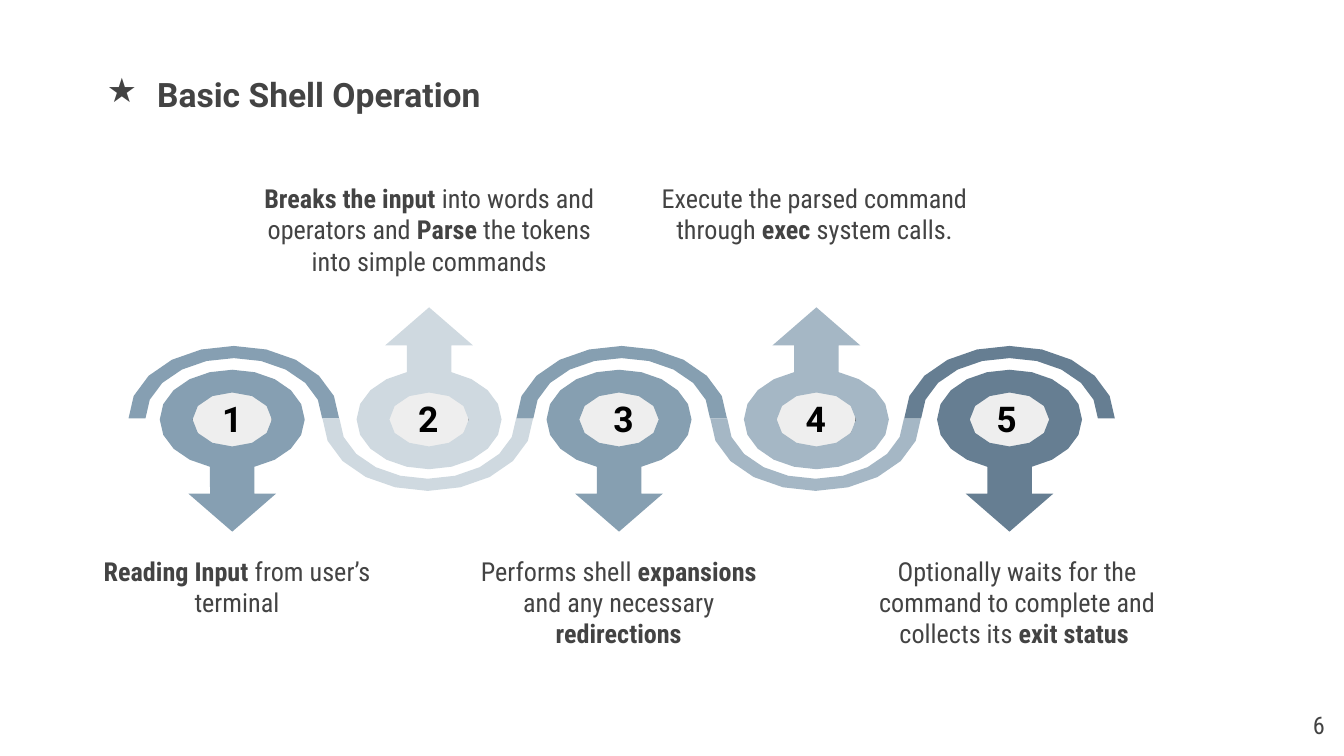
"""Build the slide on basic shell operation."""
from math import asin, cos, pi, sin

from lxml import etree
from pptx import Presentation
from pptx import util as u
from pptx.dml.color import RGBColor
from pptx.enum import shapes, text
from pptx.oxml import ns

INK = "434343"
AXIS = 7.91
ALIGN = text.PP_ALIGN


def color(code):
    return RGBColor.from_string(code)


def curve(x, y, wide, high, start, end, count):
    angles = [start + (end - start) * i / count for i in range(count + 1)]
    return [(x + wide * sin(a), y + high * cos(a)) for a in angles]


class Deck:
    def __init__(self, wide, high):
        self.prs = Presentation()
        self.prs.slide_width, self.prs.slide_height = u.Cm(wide), u.Cm(high)
        self.slide = self.prs.slides.add_slide(self.prs.slide_layouts[5])
        self.font = "Roboto Condensed"
        self.head = "Roboto"

    def style(self, run, size, bold=False, name=None, ink=INK):
        font = run.font
        font.name, font.size, font.bold = name or self.font, u.Pt(size), bold
        font.color.rgb = color(ink)

    def frame(self, shape, anchor):
        body = shape.text_frame
        body.word_wrap = True
        body.auto_size = text.MSO_AUTO_SIZE.NONE
        body.vertical_anchor = anchor
        body.margin_left = body.margin_right = u.Cm(0.25)
        body.margin_top = body.margin_bottom = u.Cm(0.25)
        return body

    def title(self, words, mark, x, y, wide, high):
        shape = self.slide.shapes.title
        shape.left, shape.top = u.Cm(x), u.Cm(y)
        shape.width, shape.height = u.Cm(wide), u.Cm(high)
        body = self.frame(shape, text.MSO_ANCHOR.BOTTOM)
        body.text = words
        para = body.paragraphs[0]
        para.alignment = ALIGN.LEFT
        self.style(para.runs[0], 18, True, self.head)
        props = para._p.get_or_add_pPr()
        props.set("marL", str(u.Cm(1.27)))
        props.set("indent", str(u.Cm(-0.95)))
        tint = etree.SubElement(props, ns.qn("a:buClr"))
        etree.SubElement(tint, ns.qn("a:srgbClr"), val=INK)
        etree.SubElement(props, ns.qn("a:buChar"), char=mark)

    def label(self, words, x, y, wide, high, size=14, align=ALIGN.CENTER):
        """Write a text box in which words between asterisks are bold."""
        box = self.slide.shapes.add_textbox(u.Cm(x), u.Cm(y), u.Cm(wide), u.Cm(high))
        para = self.frame(box, text.MSO_ANCHOR.TOP).paragraphs[0]
        para.alignment = align
        for i, part in enumerate(words.split("*")):
            if part:
                run = para.add_run()
                run.text = part
                self.style(run, size, i % 2 == 1)

    def knob(self, word, x, wide):
        high = 1.19
        shape = self.slide.shapes.add_shape(
            shapes.MSO_SHAPE.OVAL, u.Cm(x), u.Cm(AXIS - high / 2), u.Cm(wide), u.Cm(high))
        shape.shadow.inherit = False
        shape.fill.solid()
        shape.fill.fore_color.rgb = color("EEEEEE")
        shape.line.color.rgb = color("595959")
        shape.line.width = u.Pt(0.75)
        body = self.frame(shape, text.MSO_ANCHOR.MIDDLE)
        body.text = word
        body.paragraphs[0].alignment = ALIGN.CENTER
        self.style(body.paragraphs[0].runs[0], 19, True, self.head, "000000")

    def outline(self, fill, *loops):
        loops = [[(u.Cm(x), u.Cm(y)) for x, y in loop] for loop in loops]
        pen = self.slide.shapes.build_freeform(*loops[0][0])
        pen.add_line_segments(loops[0][1:])
        for loop in loops[1:]:
            pen.move_to(*loop[0])
            pen.add_line_segments(loop[1:])
        shape = pen.convert_to_shape()
        shape.shadow.inherit = False
        shape.fill.solid()
        shape.fill.fore_color.rgb = color(fill)
        shape.line.fill.background()

    def wave(self, fill, x, side):
        outer = curve(x, AXIS, 1.99, side * 1.37, -pi / 2, pi / 2, 10)
        inner = curve(x, AXIS, 1.67, side * 1.14, pi / 2, -pi / 2, 10)
        self.outline(fill, outer + inner)

    def marker(self, fill, x, side):
        y, neck, barb, base, tip = AXIS + 0.02, 0.42, 0.83, 1.4, 2.12
        gap = asin(neck / 1.37)
        ring = curve(x, y, 1.37, side * 0.94, gap, 2 * pi - gap, 18)
        arrow = [(-neck, base), (-barb, base), (0, tip), (barb, base), (neck, base)]
        ring += [(x + dx, y + side * dy) for dx, dy in arrow]
        self.outline(fill, ring, curve(x, y, 0.75, 0.51, 2 * pi, 0, 12))


def main():
    deck = Deck(25.4, 14.29)
    deck.title("Basic Shell Operation", "★", 1.45, 1.22, 15.75, 1.19)
    tints = ["869FB2", "CFD9E0", "869FB1", "A5B7C5", "667E92"]
    knobs = [(3.63, 1.52), (7.32, 1.55), (10.92, 1.73), (14.66, 1.52), (18.16, 1.73)]
    hubs = [4.39, 8.11, 11.7, 15.43, 19.08]
    for i, (x, wide) in enumerate(knobs):
        deck.knob(str(i + 1), x, wide)
    for i, tint in enumerate(tints):
        deck.wave(tint, 4.42 + 14.66 * i / 4, 1 if i % 2 else -1)
    for i, (tint, x) in enumerate(zip(tints, hubs)):
        deck.marker(tint, x, -1 if i % 2 else 1)
    low, top = 10.24, 3.2
    notes = [
        ("*Reading Input* from user’s terminal", 1.7, low, 5.56, 1.7),
        ("*Breaks the input* into words and operators and *Parse* the tokens "
         "into simple commands", 4.62, top, 6.99, 2.87),
        ("Performs shell *expansions* and any necessary *redirections*",
         8.81, low, 5.77, 2.87),
        ("Execute the parsed command through *exec *system calls.",
         12.17, top, 6.45, 2.29),
        ("Optionally waits for the command to complete and collects its *exit status *",
         16, low, 6.45, 2.87),
    ]
    for note in notes:
        deck.label(*note)
    deck.label("6", 23.77, 13.18, 1.52, 1.09, 13, ALIGN.RIGHT)
    deck.prs.save("out.pptx")


if __name__ == "__main__":
    main()
